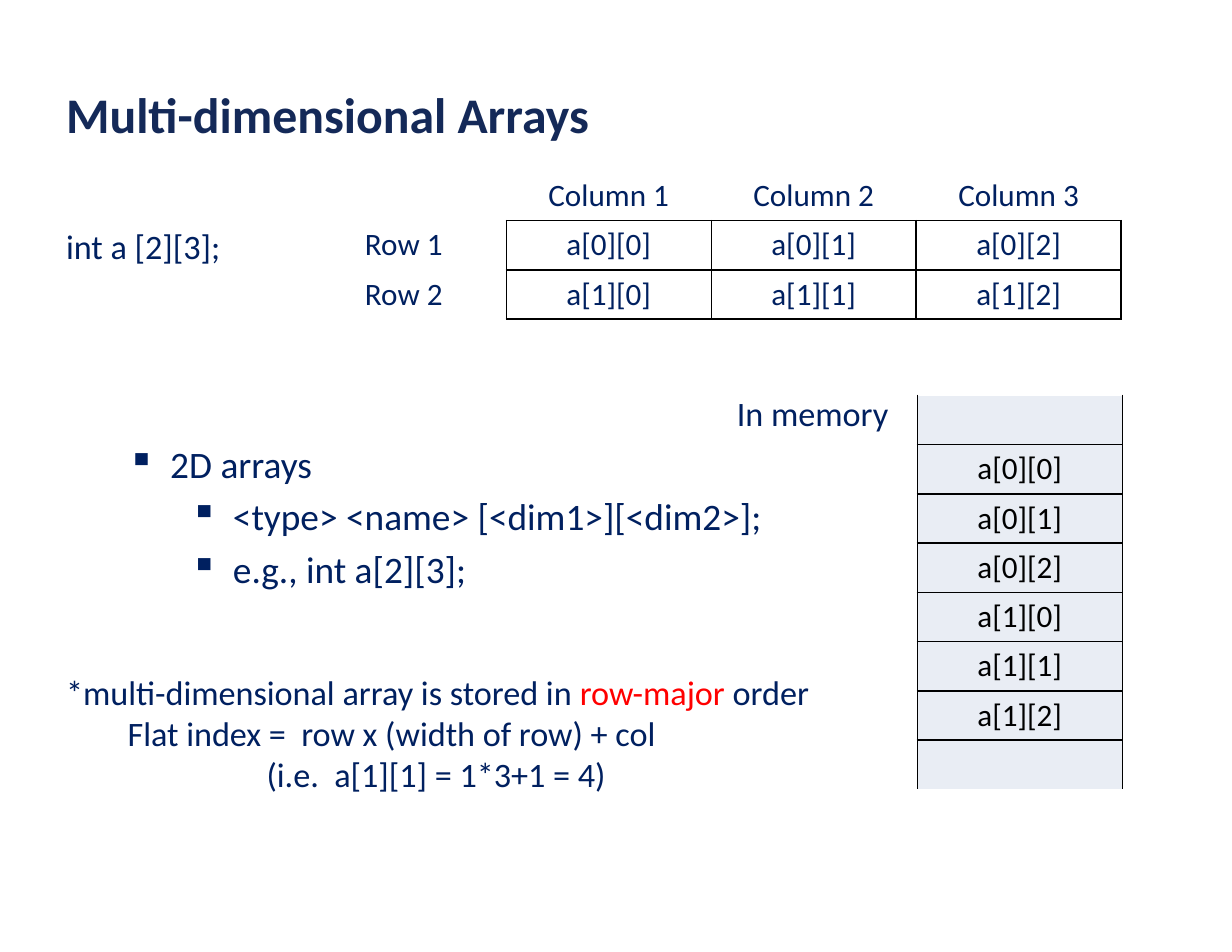
"""Build a slide on two-dimensional arrays and their layout in memory."""
from dataclasses import dataclass

from lxml import etree
from pptx import Presentation
from pptx.dml.color import RGBColor
from pptx.enum.text import MSO_ANCHOR, PP_ALIGN
from pptx.oxml.ns import qn
from pptx.util import Inches, Pt

CENTER = PP_ALIGN.CENTER
MIDDLE = MSO_ANCHOR.MIDDLE
FONT = "Calibri"
COLORS = {
    "title": "142958",
    "text": "002060",
    "accent": "FF0000",
    "black": "000000",
    "white": "FFFFFF",
    "memory": "E9EDF4",
}
LEFT = 0.59
COLUMN_WIDTH = 1.83
ROW_HEIGHT = 0.44
ROWS, COLUMNS = 2, 3


@dataclass(frozen=True)
class Span:
    text: str
    color: str = "text"


@dataclass(frozen=True)
class Line:
    spans: tuple[Span, ...]
    indent: float = 0
    bullet: bool = False
    space: float = 0


@dataclass(frozen=True)
class TextBlock:
    left: float
    top: float
    width: float
    height: float
    size: int
    lines: tuple[Line, ...]
    bold: bool = False


@dataclass(frozen=True)
class CellLook:
    text: str
    color: str
    fill: str | None
    white_edges: str = ""


def line(text: str, indent: float = 0, bullet: bool = False, space: float = 0) -> Line:
    """Return a line with one span in the usual colour."""
    return Line((Span(text),), indent, bullet, space)


TEXT_BLOCKS = (
    TextBlock(LEFT, 0.75, 9.9, 0.55, 32,
              (Line((Span("Multi-dimensional Arrays", "title"),)),), True),
    TextBlock(LEFT, 2.01, 2, 0.38, 22, (line("int a [2][3];"),)),
    TextBlock(6.58, 3.5, 1.5, 0.38, 22, (line("In memory"),)),
    TextBlock(LEFT, 3.94, 7.4, 1.4, 24, (
        line("2D arrays", 0.93, True),
        line("<type> <name> [<dim1>][<dim2>];", 1.49, True, 4.8),
        line("e.g., int a[2][3];", 1.49, True, 4.8),
    )),
    TextBlock(LEFT, 5.99, 7.4, 1.12, 22, (
        Line((Span("*multi-dimensional array is stored in "),
              Span("row-major", "accent"), Span(" order"))),
        line("Flat index =  row x (width of row) + col", 0.55),
        line("(i.e.  a[1][1] = 1*3+1 = 4)", 1.79),
    )),
)


def rgb(name: str) -> RGBColor:
    """Look up a colour by name."""
    return RGBColor.from_string(COLORS[name])


def add_text(page, block: TextBlock) -> None:
    """Add a text box without insets."""
    box = page.shapes.add_textbox(Inches(block.left), Inches(block.top),
                                  Inches(block.width), Inches(block.height))
    frame = box.text_frame
    frame.word_wrap = True
    frame.margin_left = frame.margin_right = frame.margin_top = frame.margin_bottom = 0
    for index, item in enumerate(block.lines):
        para = frame.add_paragraph() if index else frame.paragraphs[0]
        para.font.name = FONT
        para.font.size = Pt(block.size)
        para.font.bold = block.bold
        para.space_before = Pt(item.space)
        properties = para._p.get_or_add_pPr()
        properties.set("marL", str(Inches(item.indent)))
        if item.bullet:
            properties.set("indent", str(Inches(-0.38)))
            bullet = etree.Element(qn("a:buChar"), char="▪")
            properties.find(qn("a:spcBef")).addnext(bullet)
        for part in item.spans:
            span = para.add_run()
            span.text = part.text
            span.font.color.rgb = rgb(part.color)


def set_borders(cell, white_edges: str) -> None:
    """Draw one-point edges, white where listed and black elsewhere."""
    properties = cell._tc.get_or_add_tcPr()
    for edge in "LRTB":
        border = etree.SubElement(properties, qn(f"a:ln{edge}"), w=str(Pt(1)))
        fill = etree.SubElement(border, qn("a:solidFill"))
        name = "white" if edge in white_edges else "black"
        etree.SubElement(fill, qn("a:srgbClr"), val=COLORS[name])


def add_grid(page, left: float, top: float, looks: list[list[CellLook]]) -> None:
    """Add a table of equal cells."""
    rows, columns = len(looks), len(looks[0])
    table = page.shapes.add_table(
        rows, columns, Inches(left), Inches(top),
        Inches(columns * COLUMN_WIDTH), Inches(rows * ROW_HEIGHT)).table
    table.first_row = table.horz_banding = False
    for column in table.columns:
        column.width = Inches(COLUMN_WIDTH)
    for row, row_looks in zip(table.rows, looks):
        row.height = Inches(ROW_HEIGHT)
        for cell, look in zip(row.cells, row_looks):
            set_borders(cell, look.white_edges)
            if look.fill:
                cell.fill.solid()
                cell.fill.fore_color.rgb = rgb(look.fill)
            else:
                cell.fill.background()
            cell.vertical_anchor = MIDDLE
            cell.text = look.text
            para = cell.text_frame.paragraphs[0]
            para.alignment = CENTER
            para.font.name = FONT
            para.font.size = Pt(20)
            para.font.color.rgb = rgb(look.color)


def array_looks() -> list[list[CellLook]]:
    """Return the array cells with their row and column labels."""
    header = [CellLook("", "text", None, "LRTB")]
    header += [CellLook(f"Column {col + 1}", "text", None, "LRT") for col in range(COLUMNS)]
    body = [
        [CellLook(f"Row {row + 1}", "text", None, "LTB")]
        + [CellLook(f"a[{row}][{col}]", "text", None) for col in range(COLUMNS)]
        for row in range(ROWS)
    ]
    return [header, *body]


def memory_looks() -> list[list[CellLook]]:
    """Return the array cells in row-major order between open ends."""
    cells = [CellLook(f"a[{row}][{col}]", "black", "memory")
             for row in range(ROWS) for col in range(COLUMNS)]
    ends = [CellLook("", "black", "memory", edge) for edge in "TB"]
    return [[look] for look in (ends[0], *cells, ends[1])]


def main() -> None:
    """Build and save the deck."""
    deck = Presentation()
    deck.slide_width, deck.slide_height = Inches(11), Inches(8.5)
    page = deck.slides.add_slide(deck.slide_layouts[6])
    for block in TEXT_BLOCKS:
        add_text(page, block)
    add_grid(page, 2.69, 1.53, array_looks())
    add_grid(page, 8.19, 3.53, memory_looks())
    deck.save("out.pptx")


main()
